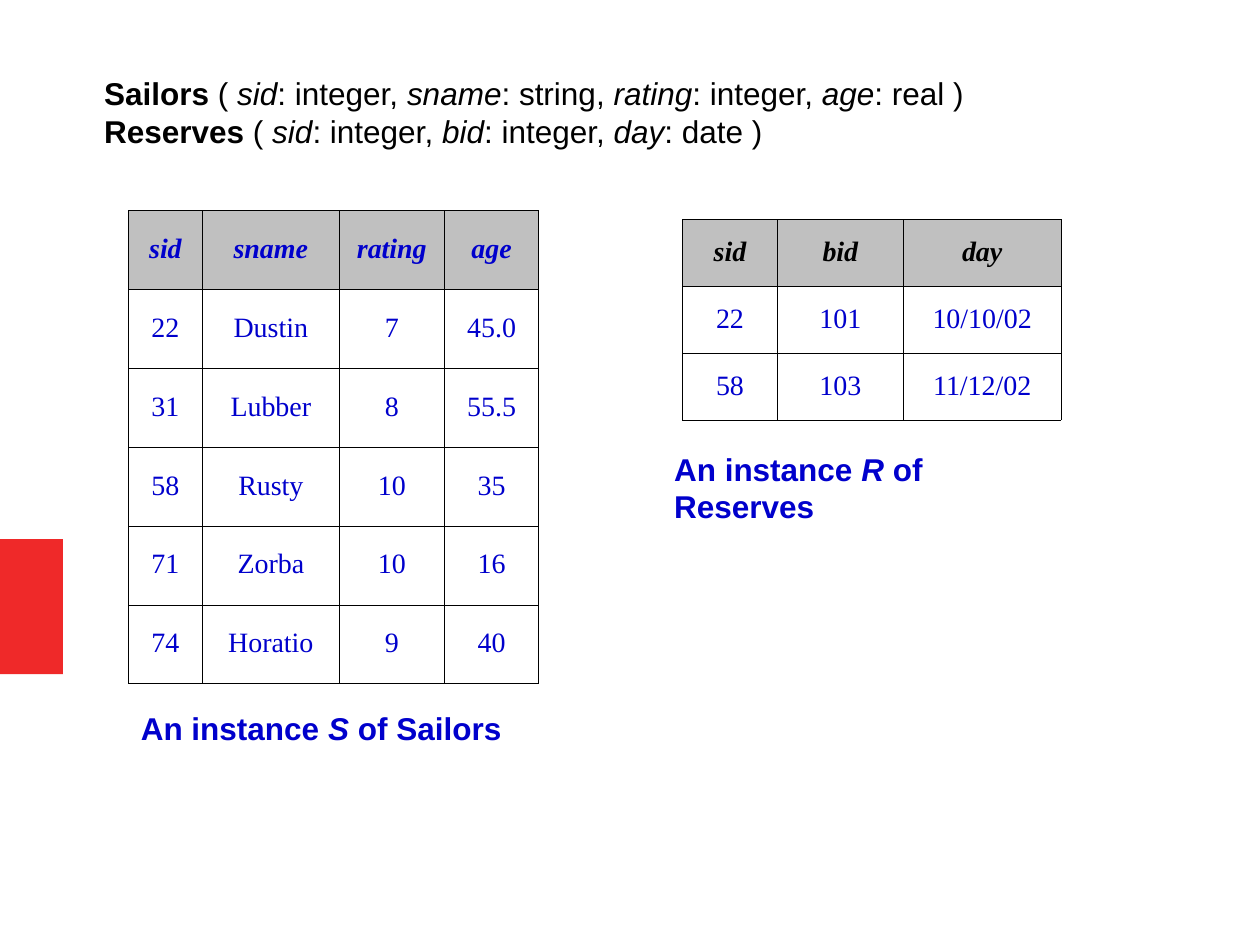
"""Build a slide that shows two relation schemas and an instance of each."""
from typing import NamedTuple

from lxml import etree
from pptx import Presentation
from pptx.dml.color import RGBColor
from pptx.enum.shapes import MSO_SHAPE
from pptx.enum.text import MSO_ANCHOR, MSO_AUTO_SIZE, PP_ALIGN
from pptx.oxml.ns import qn
from pptx.util import Cm, Pt

RECTANGLE = MSO_SHAPE.RECTANGLE
MIDDLE = MSO_ANCHOR.MIDDLE
FIT_SHAPE = MSO_AUTO_SIZE.SHAPE_TO_FIT_TEXT
CENTER = PP_ALIGN.CENTER

SANS, SERIF = "Arial", "Times New Roman"
BLACK, BLUE, GREY, RED = "000000", "0000CC", "C0C0C0", "EF2929"
BORDER_WIDTH = Pt(0.23)


class Box(NamedTuple):
    left: float
    top: float
    width: float
    height: float


class Schema(NamedTuple):
    relation: str
    fields: dict[str, str]


class Instance(NamedTuple):
    letter: str
    relation: str
    left: float
    top: float
    column_widths: list[float]
    row_height: float
    header_color: str
    rows: list[list[str]]
    caption_box: Box


SCHEMA_BOX = Box(1.85, 1.37, 18.87, 1.78)
SCHEMAS = [
    Schema("Sailors", {"sid": "integer", "sname": "string", "rating": "integer", "age": "real"}),
    Schema("Reserves", {"sid": "integer", "bid": "integer", "day": "date"}),
]
INSTANCES = [
    Instance("S", "Sailors", 2.59, 4.24, [1.49, 2.76, 2.12, 1.9], 1.59, BLUE, [
        ["sid", "sname", "rating", "age"],
        ["22", "Dustin", "7", "45.0"],
        ["31", "Lubber", "8", "55.5"],
        ["58", "Rusty", "10", "35"],
        ["71", "Zorba", "10", "16"],
        ["74", "Horatio", "9", "40"],
    ], Box(2.59, 14.17, 7.77, 1.02)),
    Instance("R", "Reserves", 13.76, 4.42, [1.91, 2.54, 3.18], 1.35, BLACK, [
        ["sid", "bid", "day"],
        ["22", "101", "10/10/02"],
        ["58", "103", "11/12/02"],
    ], Box(13.34, 8.94, 8.51, 1.02)),
]


def rgb(hex_color: str) -> RGBColor:
    return RGBColor.from_string(hex_color)


def write(paragraph, text: str, *, font: str = SANS, size: float = 18,
          color: str = BLACK, bold: bool = False, italic: bool = False) -> None:
    run = paragraph.add_run()
    run.text = text
    run.font.name = font
    run.font.size = Pt(size)
    run.font.color.rgb = rgb(color)
    run.font.bold = bold
    run.font.italic = italic


def add_text_frame(slide, box: Box, wrap: bool):
    frame = slide.shapes.add_textbox(*map(Cm, box)).text_frame
    frame.word_wrap = wrap
    frame.auto_size = FIT_SHAPE
    return frame


def draw_accent(slide, box: Box) -> None:
    accent = slide.shapes.add_shape(RECTANGLE, *map(Cm, box))
    accent.shadow.inherit = False
    accent.fill.solid()
    accent.fill.fore_color.rgb = rgb(RED)
    accent.line.fill.background()


def draw_schemas(slide, box: Box, schemas: list[Schema]) -> None:
    frame = add_text_frame(slide, box, wrap=True)
    for index, schema in enumerate(schemas):
        paragraph = frame.add_paragraph() if index else frame.paragraphs[0]
        write(paragraph, schema.relation, bold=True)
        separator = " ( "
        for field, kind in schema.fields.items():
            write(paragraph, separator)
            write(paragraph, field, italic=True)
            write(paragraph, f": {kind}")
            separator = ", "
        write(paragraph, " )")


def set_borders(cell) -> None:
    properties = cell._tc.get_or_add_tcPr()
    for side in ("lnL", "lnR", "lnT", "lnB"):
        line = etree.SubElement(properties, qn(f"a:{side}"), w=str(int(BORDER_WIDTH)))
        fill = etree.SubElement(line, qn("a:solidFill"))
        etree.SubElement(fill, qn("a:srgbClr"), val=BLACK)


def fill_cell(cell, text: str, color: str, header: bool) -> None:
    set_borders(cell)
    if header:
        cell.fill.solid()
        cell.fill.fore_color.rgb = rgb(GREY)
    else:
        cell.fill.background()
    cell.vertical_anchor = MIDDLE
    paragraph = cell.text_frame.paragraphs[0]
    paragraph.alignment = CENTER
    paragraph.line_spacing = 0.93
    write(paragraph, text, font=SERIF, size=16, color=color, bold=header, italic=header)


def draw_instance(slide, instance: Instance) -> None:
    widths, rows = instance.column_widths, instance.rows
    table = slide.shapes.add_table(
        len(rows), len(widths), Cm(instance.left), Cm(instance.top),
        Cm(sum(widths)), Cm(instance.row_height * len(rows))).table
    table.first_row = table.horz_banding = False
    for column, width in zip(table.columns, widths):
        column.width = Cm(width)
    for row_index, values in enumerate(rows):
        table.rows[row_index].height = Cm(instance.row_height)
        header = row_index == 0
        color = instance.header_color if header else BLUE
        for column_index, value in enumerate(values):
            fill_cell(table.cell(row_index, column_index), value, color, header)

    caption = add_text_frame(slide, instance.caption_box, wrap=False).paragraphs[0]
    write(caption, "An instance ", color=BLUE, bold=True)
    write(caption, instance.letter, color=BLUE, bold=True, italic=True)
    write(caption, f" of {instance.relation}", color=BLUE, bold=True)


def main() -> None:
    presentation = Presentation()
    presentation.slide_width, presentation.slide_height = Cm(25.4), Cm(19.05)
    slide = presentation.slides.add_slide(presentation.slide_layouts[6])
    draw_accent(slide, Box(0, 10.87, 1.27, 2.72))
    draw_schemas(slide, SCHEMA_BOX, SCHEMAS)
    for instance in INSTANCES:
        draw_instance(slide, instance)
    presentation.save("out.pptx")


if __name__ == "__main__":
    main()
